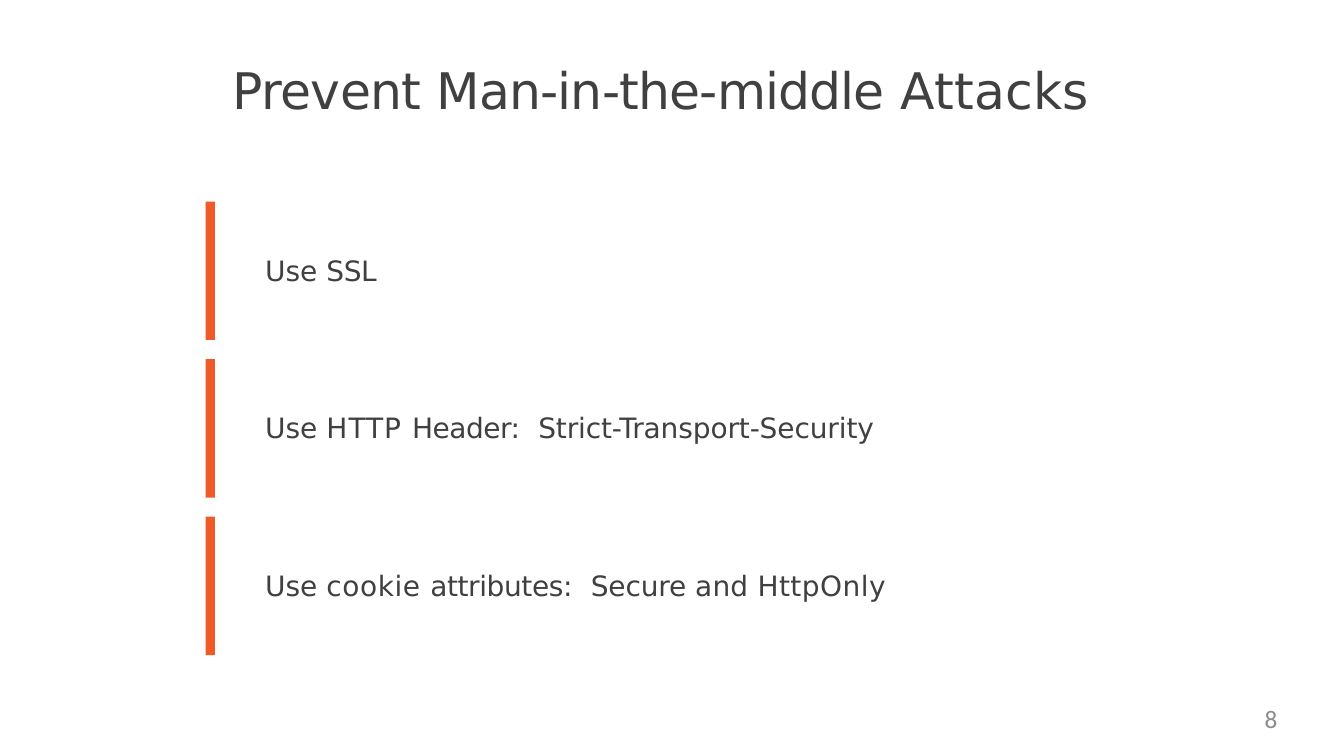
from dataclasses import dataclass

from lxml import etree
from pptx import Presentation
from pptx import util as u
from pptx.dml.color import RGBColor
from pptx.enum import shapes, text
from pptx.oxml.ns import qn


@dataclass(frozen=True)
class Theme:
    """Colours, fonts and type sizes of the deck."""
    ink: str = "404040"
    accent: str = "F05A28"
    muted: str = "8C8C8C"
    body_font: str = "DejaVu Sans"
    number_font: str = "Calibri"
    title_size: int = 36
    body_size: int = 20
    number_size: int = 18


@dataclass(frozen=True)
class Box:
    """A rectangle in inches."""
    left: float
    top: float
    width: float
    height: float

    def emu(self):
        """Return the four lengths as slide units."""
        return [u.Inches(n) for n in (self.left, self.top, self.width, self.height)]


THEME = Theme()
PAGE = Box(0, 0, 13.33, 7.5)
TITLE = [("Prevent ", -0.5), ("Man-in-the-middle ", -0.6), ("Attacks", 0.2)]
MEASURES = [
    ([("Use ", 0), ("SSL", -0.3)], None),
    ([("Use ", 0), ("HTTP ", 0.7), ("Header:\t", -0.4),
      ("Strict-Transport-Security", -0.1)], 2.71),
    ([("Use ", 0), ("cookie ", 0.4), ("attributes:\t", -0.3), ("Secure ", -0.1),
      ("and ", 0.1), ("HttpOnly", 0.3)], 3.23),
]


def apply(target, values):
    """Set each attribute of the target from a dict."""
    for name, value in values.items():
        setattr(target, name, value)


def write(shape, spans, font, size, colour, align=text.PP_ALIGN.LEFT, tab=None):
    """Fill a shape with one paragraph of letter-spaced spans."""
    frame = shape.text_frame
    apply(frame, {"word_wrap": True, "vertical_anchor": text.MSO_ANCHOR.TOP,
                  "auto_size": text.MSO_AUTO_SIZE.SHAPE_TO_FIT_TEXT,
                  "margin_left": u.Inches(0.01), "margin_top": u.Inches(0.02),
                  "margin_right": 0, "margin_bottom": 0})
    para = frame.paragraphs[0]
    para.alignment = align
    if tab:
        stops = etree.SubElement(para._p.get_or_add_pPr(), qn("a:tabLst"))
        etree.SubElement(stops, qn("a:tab"), pos=str(u.Inches(tab)), algn="l")
    for words, spacing in spans:
        span = para.add_run()
        span.text = words
        apply(span.font, {"name": font, "size": u.Pt(size)})
        span.font.color.rgb = RGBColor.from_string(colour)
        if spacing:
            span.font._element.set("spc", str(round(spacing * 100)))


def add_title(page, box):
    """Place and format the title placeholder."""
    title = page.shapes.title
    apply(title, dict(zip(("left", "top", "width", "height"), box.emu())))
    write(title, TITLE, THEME.body_font, THEME.title_size, THEME.ink)


def add_measure(page, box, spans, tab):
    """Draw an accent bar with one measure beside it."""
    bar = page.shapes.add_shape(shapes.MSO_SHAPE.RECTANGLE,
                                *Box(box.left, box.top, 0.09, box.height).emu())
    bar.shadow.inherit = False
    bar.fill.solid()
    bar.fill.fore_color.rgb = RGBColor.from_string(THEME.accent)
    bar.line.fill.background()
    indent = 0.58
    label = page.shapes.add_textbox(
        *Box(box.left + indent, box.top + 0.49, box.width - indent, 0.36).emu())
    write(label, spans, THEME.body_font, THEME.body_size, THEME.ink, tab=tab)


def add_measures(page, box, gap=0.19):
    """Stack the measures in equal rows."""
    count = len(MEASURES)
    height = (box.height - gap * (count - 1)) / count
    for row, (spans, tab) in enumerate(MEASURES):
        top = box.top + row * (height + gap)
        add_measure(page, Box(box.left, top, box.width, height), spans, tab)


def add_number(page, box):
    """Write the page number at the right of its box."""
    number = page.shapes.add_textbox(*box.emu())
    write(number, [("8", 0)], THEME.number_font, THEME.number_size, THEME.muted,
          align=text.PP_ALIGN.RIGHT)


def main():
    """Build and save the deck."""
    deck = Presentation()
    apply(deck, {"slide_width": u.Inches(PAGE.width),
                 "slide_height": u.Inches(PAGE.height)})
    page = deck.slides.add_slide(deck.slide_layouts[5])
    add_title(page, Box(2.3, 0.57, 8.63, 0.63))
    add_measures(page, Box(2.04, 2, 6.75, 4.5))
    add_number(page, Box(9.6, 6.96, 3.07, 0.38))
    deck.save("out.pptx")


if __name__ == "__main__":
    main()
